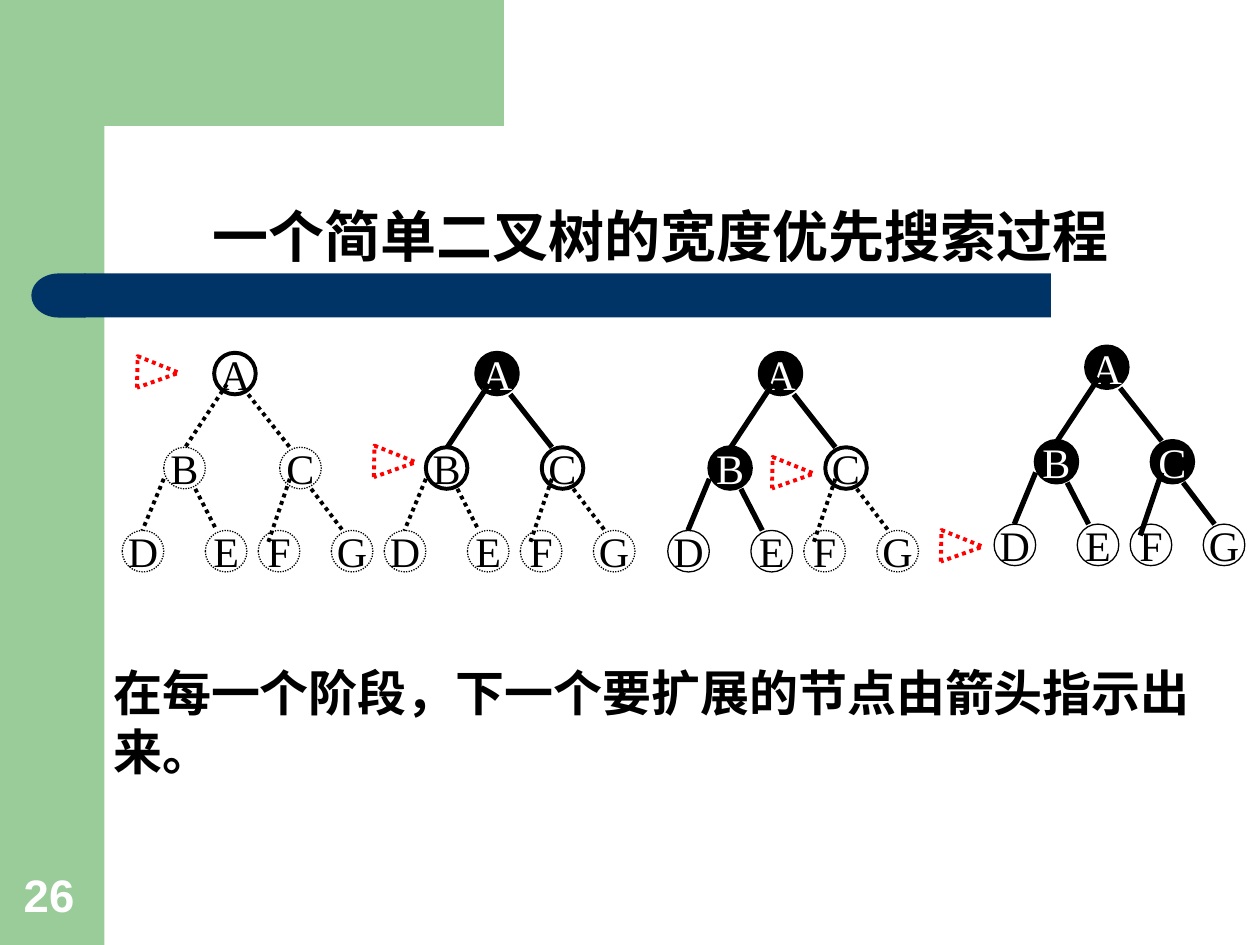
import math
from lxml import etree
from pptx import Presentation, util as u
from pptx.dml.color import RGBColor
from pptx.enum import dml, shapes, text
from pptx.oxml.ns import qn

# Content
TITLE = "一个简单二叉树的宽度优先搜索过程"
NOTE = "在每一个阶段，下一个要扩展的节点由箭头指示出来。"
PAGE = "26"
CHILDREN = {"A": "BC", "B": "DE", "C": "FG"}
# Each stage: root position, expanded nodes, pointer offset from the root
STAGES = [
    ((1.7, 2.8), "", (-0.57, -0.01)),
    ((3.78, 2.8), "A", (-0.77, 0.7)),
    ((6.03, 2.8), "AB", (0.14, 0.79)),
    ((8.62, 2.75), "ABC", (-1.11, 1.42)),
]

# Tree geometry in inches, relative to the top left of the root
ROW = (0, 0.75, 1.41)
NODES = {
    "A": (0, ROW[0]), "B": (-0.4, ROW[1]), "C": (0.52, ROW[1]),
    "D": (-0.73, ROW[2]), "E": (-0.07, ROW[2]),
    "F": (0.35, ROW[2]), "G": (0.93, ROW[2]),
}
EDGES = {
    "AB": (0.1, 0.25, -0.23, 0.75), "AC": (0.27, 0.33, 0.6, 0.75),
    "BD": (-0.4, 1.0, -0.57, 1.41), "BE": (-0.15, 1.08, 0.02, 1.41),
    "CF": (0.6, 1.0, 0.43, 1.5), "CG": (0.77, 1.08, 1.02, 1.41),
}
DIAMETER = 0.33

GREEN = RGBColor(0x99, 0xCC, 0x99)
NAVY = RGBColor(0x00, 0x33, 0x66)
RED = RGBColor(0xFF, 0x00, 0x00)
BLACK = RGBColor(0, 0, 0)
WHITE = RGBColor(0xFF, 0xFF, 0xFF)
SHAPE = shapes.MSO_SHAPE
ANCHOR = text.MSO_ANCHOR


def inches(*values):
    return [u.Inches(v) for v in values]


def write(sp, words, size=24, font="Times New Roman", color=BLACK, bold=False,
          align=text.PP_ALIGN.LEFT, anchor=ANCHOR.TOP, wrap=True, before=0):
    tf = sp.text_frame
    tf.word_wrap = wrap
    tf.auto_size = text.MSO_AUTO_SIZE.NONE
    tf.vertical_anchor = anchor
    tf.margin_left = tf.margin_right = u.Inches(0.1)
    tf.margin_top = tf.margin_bottom = u.Inches(0.05)
    p = tf.paragraphs[0]
    p.alignment = align
    p.space_before = u.Pt(before)
    r = p.add_run()
    r.text = words
    r.font.size, r.font.name, r.font.bold = u.Pt(size), font, bold
    r.font.color.rgb = color


def stroke(sp, width, dotted=False, color=BLACK):
    sp.line.color.rgb = color
    sp.line.width = u.Pt(width)
    if dotted:
        sp.line.dash_style = dml.MSO_LINE.ROUND_DOT


def paint(sp, fill=None):
    sp.shadow.inherit = False
    if fill is None:
        sp.fill.background()
    else:
        sp.fill.solid()
        sp.fill.fore_color.rgb = fill


def add_block(tree, kind, box, fill):
    sp = tree.add_shape(kind, *inches(*box))
    paint(sp, fill)
    sp.line.fill.background()
    return sp


def add_stage(s, root, expanded, pointer):
    x0, y0 = root
    tree = s.shapes.add_group_shape().shapes
    reached = "A" + "".join(CHILDREN[n] for n in expanded)
    for name, (dx, dy) in NODES.items():
        done = name in expanded
        sp = tree.add_shape(SHAPE.OVAL, *inches(x0 + dx, y0 + dy, DIAMETER, DIAMETER))
        paint(sp, BLACK if done else None)
        inner = name in CHILDREN and name in reached
        stroke(sp, 2.25 if inner else 0.75, dotted=name not in reached)
        write(sp, name, color=WHITE if done else BLACK, wrap=False,
              align=text.PP_ALIGN.CENTER, anchor=ANCHOR.MIDDLE)

    # Pointer to the next node
    sp = tree.add_shape(SHAPE.FLOWCHART_MERGE,
                        *inches(x0 + pointer[0], y0 + pointer[1], 0.25, 0.33))
    sp.rotation = 271.1
    paint(sp)
    stroke(sp, 2.25, dotted=True, color=RED)

    for name, (x1, y1, x2, y2) in EDGES.items():
        done = name[0] in expanded
        line = tree.add_connector(shapes.MSO_CONNECTOR.STRAIGHT,
                                  *inches(x0 + x1, y0 + y1, x0 + x2, y0 + y2))
        stroke(line, 3 if done else 2.25, dotted=not done)
        etree.SubElement(line._element.spPr, qn("a:effectLst"))


def main():
    prs = Presentation()
    prs.slide_width, prs.slide_height = inches(10, 7.5)
    s = prs.slides.add_slide(prs.slide_layouts[5])

    # Green side band and corner piece with a rounded inner edge
    add_block(s.shapes, SHAPE.RECTANGLE, (0, 0, 0.83, 7.5), GREEN)
    arc = [(1.16 - 0.33 * math.sin(a), 1.16 - 0.33 * math.cos(a))
           for a in (math.radians(d) for d in range(0, 91, 6))]
    corner = [(3.5, 0.83), *arc, (0.83, 1.28), (0.5, 1.28), (0.5, 0)]
    fb = s.shapes.build_freeform(3.5, 0, scale=u.Inches(1))
    fb.add_line_segments(corner, close=True)
    sp = fb.convert_to_shape()
    paint(sp, GREEN)
    sp.line.fill.background()

    # Navy bar with a round left end
    add_block(s.shapes, SHAPE.RECTANGLE, (0.67, 2.17, 7.67, 0.35), NAVY)
    cap = add_block(s.shapes, SHAPE.FLOWCHART_DELAY, (0.25, 2.17, 0.43, 0.35), NAVY)
    cap._element.spPr.xfrm.set("flipH", "1")

    # Title
    title = s.shapes.title
    title.left, title.top, title.width, title.height = inches(1.47, 1.55, 7.55, 0.64)
    write(title, TITLE, size=32, font="Comic Neue", bold=True, before=20,
          align=text.PP_ALIGN.CENTER)

    # Four search stages
    for stage in STAGES:
        add_stage(s, *stage)

    # Note and page number
    write(s.shapes.add_textbox(*inches(0.8, 5.21, 8.75, 1.04)), NOTE,
          size=28, font="Comic Neue", bold=True, before=17.5)
    write(s.shapes.add_textbox(*inches(0.09, 6.83, 0.64, 0.53)), PAGE,
          size=26, font="Arial", color=WHITE, bold=True, anchor=ANCHOR.BOTTOM)
    prs.save("out.pptx")


if __name__ == "__main__":
    main()
